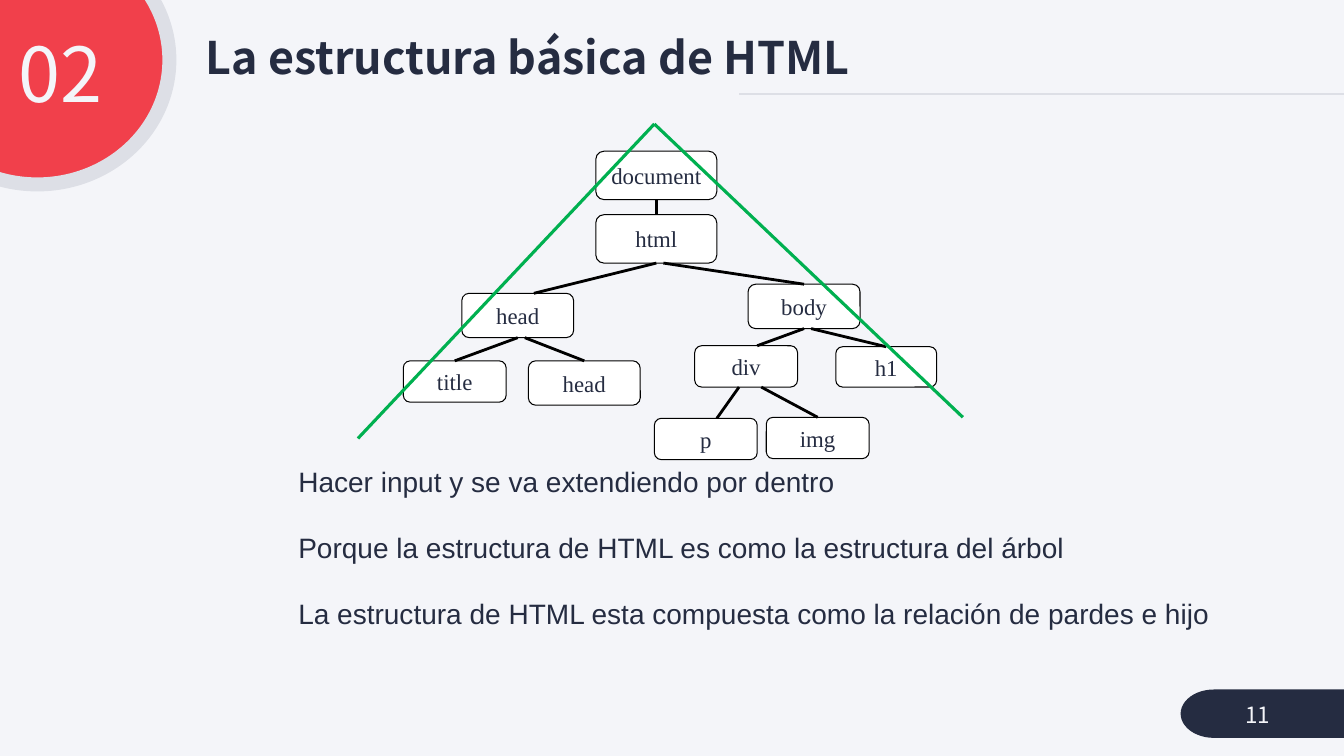
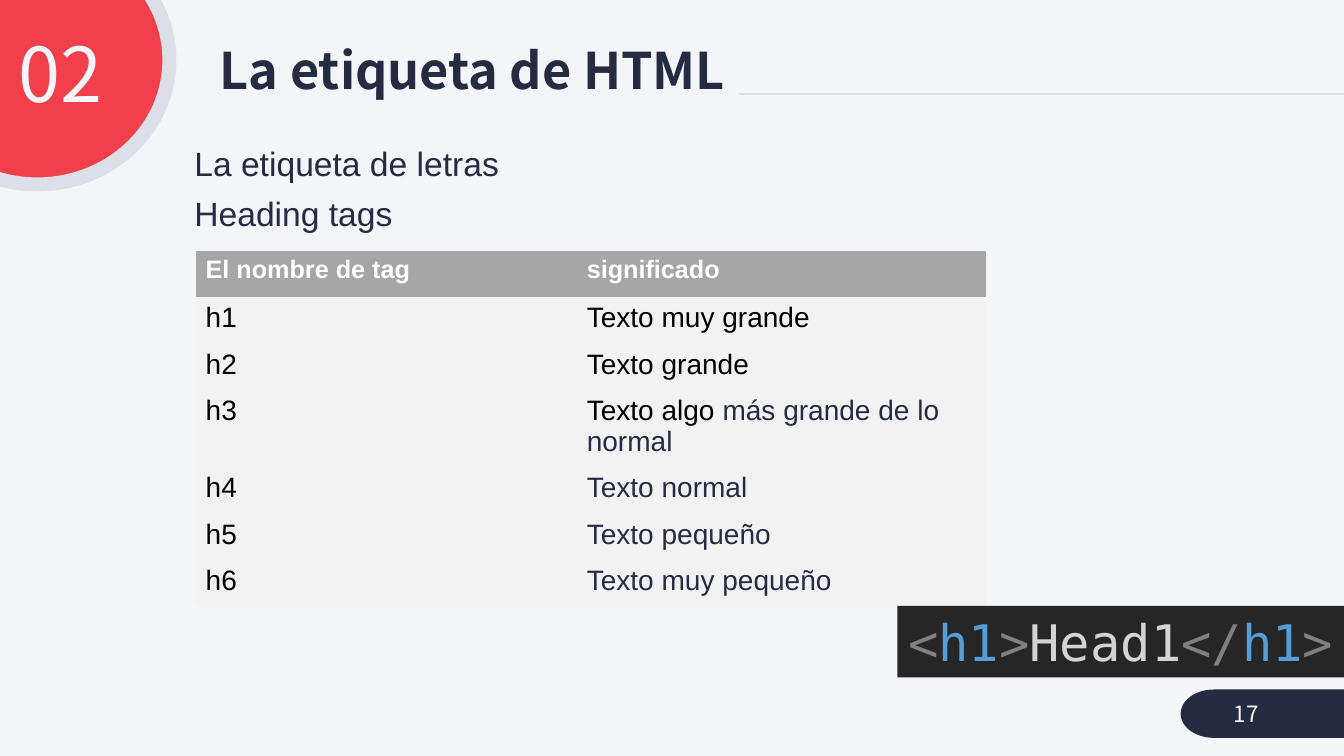
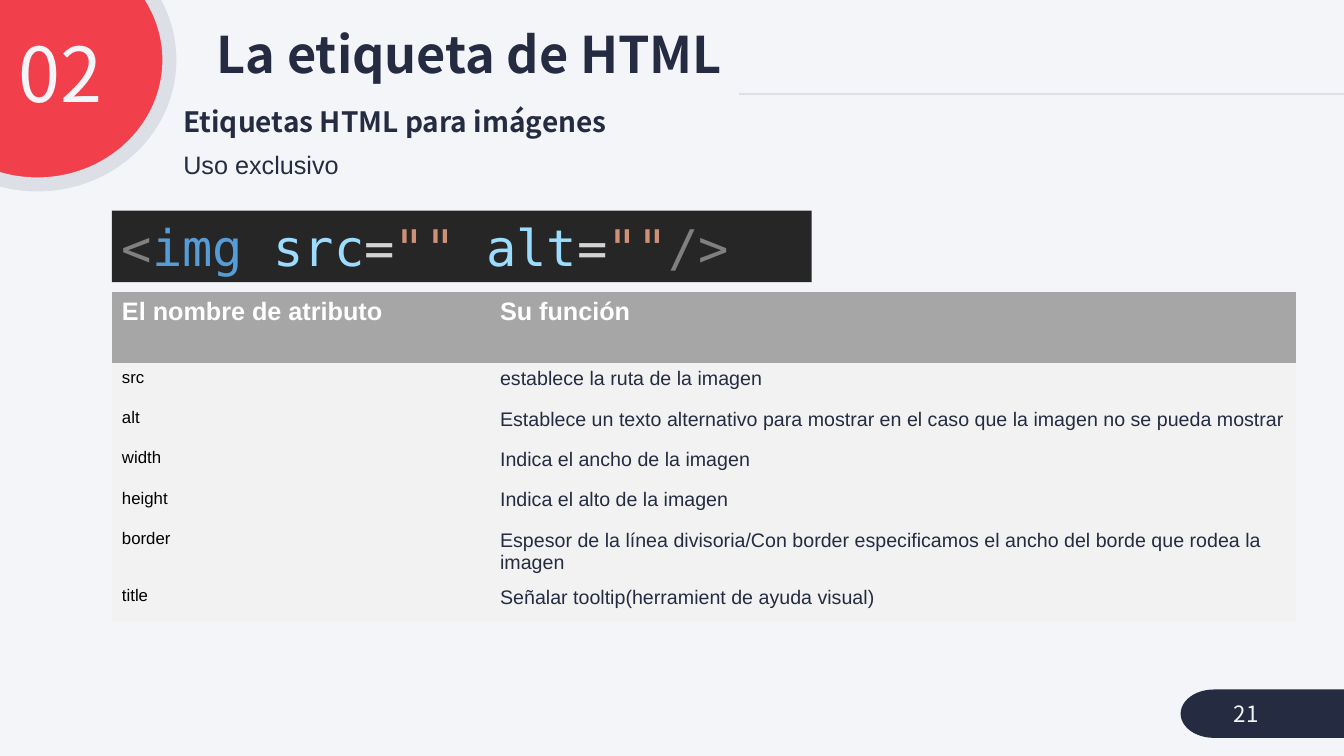
from lxml import etree
from pptx import Presentation
from pptx.dml.color import RGBColor
from pptx.enum.shapes import MSO_CONNECTOR, MSO_SHAPE
from pptx.enum.text import MSO_ANCHOR, MSO_AUTO_SIZE, PP_ALIGN
from pptx.oxml.ns import qn
from pptx.util import Inches, Pt

STRAIGHT = MSO_CONNECTOR.STRAIGHT
RECT, ROUND = MSO_SHAPE.RECTANGLE, MSO_SHAPE.ROUNDED_RECTANGLE
OVAL, PILL = MSO_SHAPE.OVAL, MSO_SHAPE.FLOWCHART_TERMINATOR
TOP, MIDDLE = MSO_ANCHOR.TOP, MSO_ANCHOR.MIDDLE
LEFT, CENTER, RIGHT = PP_ALIGN.LEFT, PP_ALIGN.CENTER, PP_ALIGN.RIGHT
NO_FIT = MSO_AUTO_SIZE.NONE

SANS, HEAD = "Arial", "Noto Sans CJK KR"
SERIF, MONO = "Times New Roman", "DejaVu Sans Mono"
NO_GRID = "{2D5ABB26-0587-4C30-8999-92F81FD0307C}"

COLORS = {
    "paper": "F4F5F9", "ink": "252C41", "rule": "DDDFE6", "red": "F1404B",
    "white": "FFFFFF", "black": "000000", "green": "00B050",
    "header": "A6A6A6", "row": "F2F2F2", "panel": "262626",
    "mark": "808080", "tag": "569CD6", "attr": "9CDCFE",
    "plain": "D4D4D4", "value": "CE9178",
}


def rgb(name):
    return RGBColor.from_string(COLORS[name])


def write(frame, text, size=18, font=SANS, color="ink", bold=False,
          align=LEFT, lead=None, before=None, anchor=TOP):
    frame.vertical_anchor = anchor
    para = frame.paragraphs[-1]
    if para.runs:
        para = frame.add_paragraph()
    para.alignment = align
    if lead is not None:
        para.line_spacing = lead
    if before is not None:
        para.space_before = Pt(before)
    for part, tint in [(text, color)] if isinstance(text, str) else text:
        run = para.add_run()
        run.text = part
        run.font.name, run.font.size, run.font.bold = font, Pt(size), bold
        run.font.color.rgb = rgb(tint)


class Deck:
    def __init__(self):
        self.show = Presentation()
        self.show.slide_width = Inches(13.33)
        self.show.slide_height = Inches(7.5)
        fill = self.show.slide_master.background.fill
        fill.solid()
        fill.fore_color.rgb = rgb("paper")
        self.slide = None

    def page(self, title, spot, size, number, corner):
        self.slide = self.show.slides.add_slide(self.show.slide_layouts[5])
        head = self.slide.shapes.title
        head.left, head.top, head.width, head.height = map(Inches, spot)
        head.text_frame.auto_size = NO_FIT
        head.text_frame.word_wrap = True
        write(head.text_frame, title, size=size, font=HEAD, bold=True,
              lead=0.9, anchor=MIDDLE)
        self.line((7.33, 0.93), (13.33, 0.93), "rule", 1.5)
        self.shape(OVAL, (-0.94, -0.64, 2.62, 2.47), "red", "rule", 10)
        self.shape(PILL, (11.71, 6.84, 2.05, 0.48), "ink")
        write(self.text((-0.11, 0.32, 1.22, 0.92)), "02", size=54, font=HEAD,
              color="paper", align=RIGHT, lead=0.9, before=10)
        write(self.text((*corner, 1.09, 0.4)), number, size=16, font=HEAD,
              color="paper", anchor=MIDDLE)

    def text(self, spot):
        frame = self.slide.shapes.add_textbox(*map(Inches, spot)).text_frame
        frame.word_wrap = True
        return frame

    def shape(self, kind, spot, fill, edge=None, width=0):
        item = self.slide.shapes.add_shape(kind, *map(Inches, spot))
        item.shadow.inherit = False
        item.fill.solid()
        item.fill.fore_color.rgb = rgb(fill)
        if edge:
            item.line.color.rgb = rgb(edge)
            item.line.width = Pt(width)
        else:
            item.line.fill.background()
        return item

    def line(self, start, end, color, width):
        item = self.slide.shapes.add_connector(
            STRAIGHT, *map(Inches, (*start, *end)))
        item.line.color.rgb = rgb(color)
        item.line.width = Pt(width)
        etree.SubElement(item._element.spPr, qn("a:effectLst"))
        return item

    def node(self, label, spot):
        item = self.shape(ROUND, spot, "white", "black")
        frame = item.text_frame
        frame.word_wrap = False
        frame.margin_top = frame.margin_bottom = Inches(0.04)
        write(frame, label, size=16.3, font=SERIF, align=CENTER,
              anchor=MIDDLE)
        return item

    def link(self, parent, child, start, end):
        mid = [box.left.inches + box.width.inches / 2
               for box in (parent, child)]
        base = parent.top.inches + parent.height.inches
        item = self.line((mid[0] + start, base),
                         (mid[1] + end, child.top.inches), "black", 0)
        if not start:
            item.begin_connect(parent, 2)
        if not end:
            item.end_connect(child, 0)

    def code(self, spot, parts, align=LEFT):
        frame = self.shape(RECT, spot, "panel").text_frame
        frame.word_wrap = True
        write(frame, parts, size=36, font=MONO, align=align)

    def table(self, left, top, cols, tall, high, rows, looks):
        spot = (left, top, sum(cols), tall + high * (len(rows) - 1))
        grid = self.slide.shapes.add_table(
            len(rows), len(cols), *map(Inches, spot)).table
        grid.horz_banding = False
        grid._tbl.tblPr[0].text = NO_GRID
        for col, width in zip(grid.columns, cols):
            col.width = Inches(width)
        for r, row in enumerate(rows):
            grid.rows[r].height = Inches(high if r else tall)
            for c, text in enumerate(row):
                cell = grid.cell(r, c)
                cell.fill.solid()
                cell.fill.fore_color.rgb = rgb("row" if r else "header")
                look = looks[c] if r else {"color": "white", "bold": True}
                write(cell.text_frame, text, **look)


def tree(deck):
    deck.page("La estructura básica de HTML", (1.94, 0.26, 8.65, 0.67), 32,
              "11", (12.25, 6.89))
    big, mid, low = (1.2, 0.48), (1.11, 0.44), (1.02, 0.41)
    nodes = {
        "root": ("document", 5.91, 1.5, big),
        "html": ("html", 5.91, 2.13, big),
        "head": ("head", 4.58, 2.91, mid),
        "body": ("body", 7.42, 2.82, mid),
        "div": ("div", 6.89, 3.43, low),
        "h1": ("h1", 8.29, 3.44, (1, 0.4)),
        "title": ("title", 4, 3.58, low),
        "sub": ("head", 5.24, 3.58, mid),
        "p": ("p", 6.49, 4.15, low),
        "img": ("img", 7.6, 4.14, low),
    }
    made = {key: deck.node(label, (x, y, *size))
            for key, (label, x, y, size) in nodes.items()}
    links = [
        ("root", "html", 0, 0), ("html", "head", 0, 0.16),
        ("html", "body", 0.07, 0), ("head", "title", 0, 0),
        ("head", "sub", 0.07, 0), ("body", "div", 0, 0.11),
        ("body", "h1", 0.07, 0), ("div", "p", -0.07, 0.11),
        ("div", "img", 0.15, 0),
    ]
    for parent, child, start, end in links:
        deck.link(made[parent], made[child], start, end)
    for foot in ((3.55, 4.35), (9.55, 4.14)):
        deck.line((6.49, 1.23), foot, "green", 2.25)
    notes = deck.text((2.86, 4.56, 9.31, 2.02))
    lines = [
        "Hacer input y se va extendiendo por dentro",
        "Porque la estructura de HTML es como la estructura del árbol",
        "La estructura de HTML esta compuesta como la relación de pardes e hijo",
    ]
    for i, line in enumerate(lines):
        write(notes, line, size=20, before=23 if i else 0)


def heads(deck):
    deck.page("La etiqueta de HTML", (2.08, 0.39, 6.82, 0.67), 36,
              "17", (12.14, 6.88))
    intro = deck.text((1.83, 1.41, 11.5, 4.76))
    for line in ("La etiqueta de letras", "Heading tags"):
        write(intro, line, size=24, lead=0.9, before=10)
    rows = [
        ("El nombre de tag", "significado"),
        ("h1", [("Texto muy grande", "black")]),
        ("h2", [("Texto grande", "black")]),
        ("h3", [("Texto algo ", "black"), ("más grande de lo normal", "ink")]),
        ("h4", "Texto normal"),
        ("h5", "Texto pequeño"),
        ("h6", "Texto muy pequeño"),
    ]
    deck.table(1.94, 2.49, (3.78, 4.06), 0.46, 0.46, rows,
               ({"size": 20, "color": "black"}, {"size": 20}))
    deck.code((8.9, 6.01, 4.43, 0.71), [
        ("<", "mark"), ("h1", "tag"), (">", "mark"), ("Head1", "plain"),
        ("</", "mark"), ("h1", "tag"), (">", "mark")], CENTER)


def images(deck):
    deck.page("La etiqueta de HTML", (2.05, 0.23, 6.9, 0.67), 36,
              "21", (12.14, 6.88))
    intro = deck.text((1.72, 1.03, 11.5, 4.76))
    write(intro, "Etiquetas HTML para imágenes", size=20, font=HEAD,
          bold=True, lead=0.9, before=10)
    write(intro, "Uso exclusivo", lead=0.9, before=10)
    deck.code((1.11, 2.09, 6.94, 0.71), [
        ("<", "mark"), ("img ", "tag"), ("src", "attr"), ("=", "plain"),
        ('"" ', "value"), ("alt", "attr"), ("=", "plain"), ('""', "value"),
        ("/>", "mark")])
    rows = [
        ("El nombre de atributo", "Su función"),
        ("src", "establece la ruta de la imagen"),
        ("alt", "Establece un texto alternativo para mostrar en el caso "
                "que la imagen no se pueda mostrar"),
        ("width", "Indica el ancho de la imagen"),
        ("height", "Indica el alto de la imagen"),
        ("border", "Espesor de la línea divisoria/Con border especificamos "
                   "el ancho del borde que rodea la imagen"),
        ("title", "Señalar tooltip(herramient de ayuda visual)"),
    ]
    deck.table(1.11, 2.9, (3.75, 7.99), 0.7, 0.4, rows,
               ({"size": 12, "color": "black"}, {"size": 14}))


def main():
    deck = Deck()
    for build in (tree, heads, images):
        build(deck)
    deck.show.save("out.pptx")


if __name__ == "__main__":
    main()
